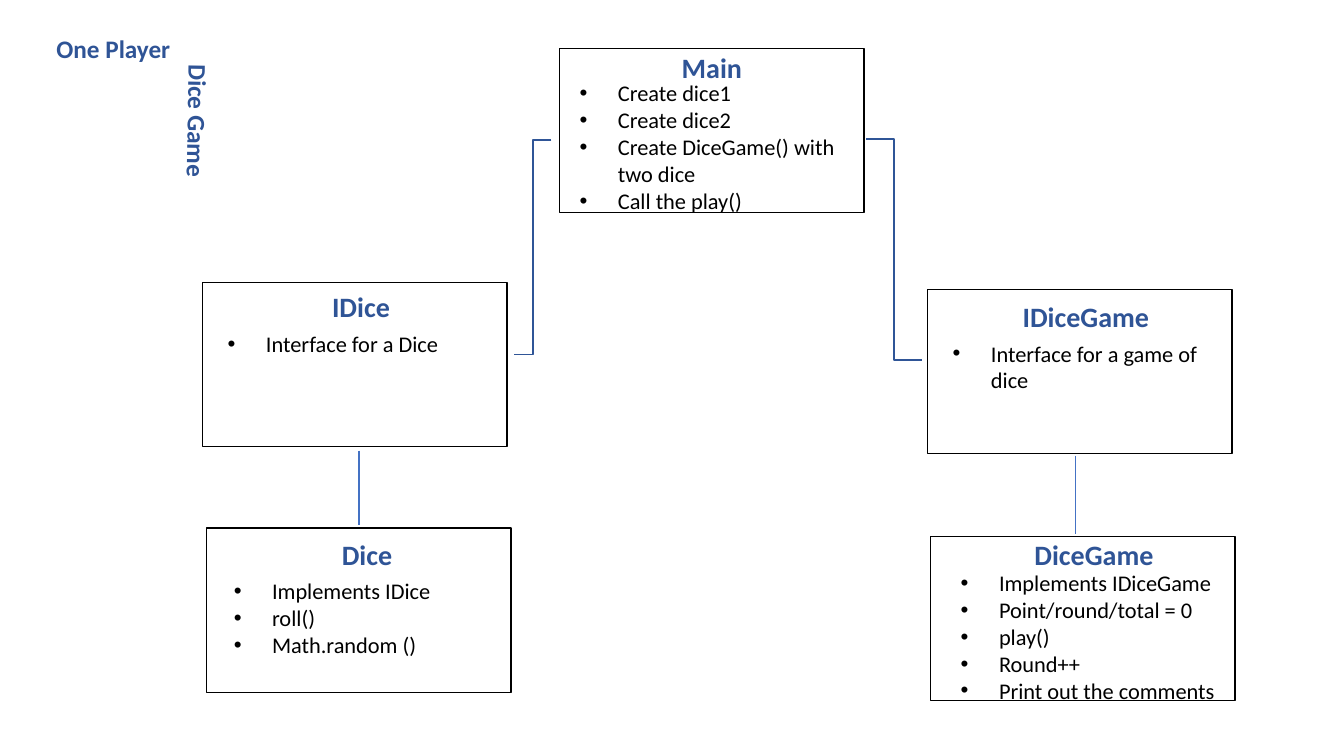
from dataclasses import dataclass

from lxml.etree import SubElement
from pptx import Presentation
from pptx.dml.color import RGBColor
from pptx.enum.shapes import MSO_CONNECTOR, MSO_SHAPE
from pptx.enum.text import MSO_ANCHOR, MSO_AUTO_SIZE, PP_ALIGN
from pptx.oxml.ns import qn
from pptx.util import Inches, Pt


@dataclass(frozen=True)
class Theme:
    font: str = "Calibri"
    heading: RGBColor = RGBColor(0x2F, 0x54, 0x96)
    body: RGBColor = RGBColor(0, 0, 0)
    box_fill: RGBColor = RGBColor(255, 255, 255)
    box_line: RGBColor = RGBColor(0, 0, 0)
    elbow: RGBColor = RGBColor(0x2F, 0x55, 0x97)
    straight: RGBColor = RGBColor(0x44, 0x72, 0xC4)
    title_size: Pt = Pt(18)
    heading_size: Pt = Pt(20)
    body_size: Pt = Pt(16)
    line_width: Pt = Pt(1)


BOX_WIDTH, BOX_HEIGHT = 3.02, 1.63
HEADING_HEIGHT = 0.44
BULLET_INDENT = Inches(0.38)

# name, box corner, heading corner, list corner, list height, bullets
CLASSES = [
    ("Main", (5.55, 0.48), (5.55, 0.45), (5.65, 0.74), 2.05,
     ["Create dice1", "Create dice2", "Create DiceGame() with two dice", "Call the play()"]),
    ("DiceGame", (9.23, 5.32), (9.34, 5.28), (9.43, 5.6), 2.05,
     ["Implements IDiceGame", "Point/round/total = 0", "play()", "Round++",
      "Print out the comments"]),
    ("IDiceGame", (9.2, 2.87), (9.26, 2.92), (9.35, 3.32), 1.51,
     ["Interface for a game of dice"]),
    ("IDice", (2.01, 2.8), (2.07, 2.82), (2.16, 3.23), 1.25,
     ["Interface for a Dice"]),
    ("Dice", (2.05, 5.24), (2.13, 5.28), (2.22, 5.68), 1.51,
     ["Implements IDice", "roll()", "Math.random ()"]),
]


class DiagramSlide:
    def __init__(self, presentation, theme):
        self.theme = theme
        self.slide = presentation.slides.add_slide(presentation.slide_layouts[5])

    def format_text(self, shape, size, color, bold=False, align=PP_ALIGN.LEFT):
        frame = shape.text_frame
        frame.word_wrap = True
        frame.auto_size = MSO_AUTO_SIZE.NONE
        frame.vertical_anchor = MSO_ANCHOR.TOP
        for paragraph in frame.paragraphs:
            paragraph.alignment = align
            for run in paragraph.runs:
                run.font.name = self.theme.font
                run.font.size = size
                run.font.bold = bold
                run.font.color.rgb = color

    def title(self, text, left, top, width, height):
        shape = self.slide.shapes.title
        shape.left, shape.top = Inches(left), Inches(top)
        shape.width, shape.height = Inches(width), Inches(height)
        shape.text_frame.text = text
        self.format_text(shape, self.theme.title_size, self.theme.heading, bold=True)

    def text(self, text, left, top, width, height, size, color, **style):
        shape = self.slide.shapes.add_textbox(
            Inches(left), Inches(top), Inches(width), Inches(height))
        shape.text_frame.text = text
        self.format_text(shape, size, color, **style)
        return shape

    def box(self, left, top):
        shape = self.slide.shapes.add_shape(
            MSO_SHAPE.RECTANGLE, Inches(left), Inches(top),
            Inches(BOX_WIDTH), Inches(BOX_HEIGHT))
        shape.shadow.inherit = False
        shape.fill.solid()
        shape.fill.fore_color.rgb = self.theme.box_fill
        shape.line.color.rgb = self.theme.box_line
        shape.line.width = self.theme.line_width

    def heading(self, text, left, top):
        self.text(text, left, top, BOX_WIDTH, HEADING_HEIGHT, self.theme.heading_size,
                  self.theme.heading, bold=True, align=PP_ALIGN.CENTER)

    def bullets(self, items, left, top, height):
        shape = self.text("\n".join(items), left, top, BOX_WIDTH, height,
                          self.theme.body_size, self.theme.body)
        for paragraph in shape.text_frame.paragraphs:
            properties = paragraph._p.get_or_add_pPr()
            properties.set("marL", str(BULLET_INDENT))
            properties.set("indent", str(-BULLET_INDENT))
            SubElement(properties, qn("a:buFont"), typeface="Arial")
            SubElement(properties, qn("a:buChar"), char="•")

    def connector(self, kind, start, end, color):
        line = self.slide.shapes.add_connector(
            kind, *(Inches(value) for value in (*start, *end)))
        line.line.color.rgb = color
        line.line.width = self.theme.line_width
        SubElement(line._element.spPr, qn("a:effectLst"))


def main():
    presentation = Presentation()
    presentation.slide_width = Inches(13.33)
    presentation.slide_height = Inches(7.5)
    theme = Theme()
    diagram = DiagramSlide(presentation, theme)

    diagram.title("One Player", 0.46, 0.28, 1.36, 0.4)
    subtitle = diagram.text("Dice Game", 1.28, 1.02, 1.36, 0.4,
                            theme.title_size, theme.heading, bold=True)
    subtitle.rotation = 91

    for _, box_corner, *_ in CLASSES:
        diagram.box(*box_corner)

    diagram.connector(MSO_CONNECTOR.ELBOW, (5.47, 1.39), (5.1, 3.52), theme.elbow)
    diagram.connector(MSO_CONNECTOR.ELBOW, (8.59, 1.38), (9.14, 3.57), theme.elbow)
    diagram.connector(MSO_CONNECTOR.STRAIGHT, (3.56, 4.47), (3.56, 5.21), theme.straight)
    diagram.connector(MSO_CONNECTOR.STRAIGHT, (10.67, 4.52), (10.67, 5.3), theme.straight)

    for name, _, heading_corner, list_corner, list_height, items in CLASSES:
        diagram.bullets(items, *list_corner, list_height)
        diagram.heading(name, *heading_corner)

    presentation.save("out.pptx")


if __name__ == "__main__":
    main()
